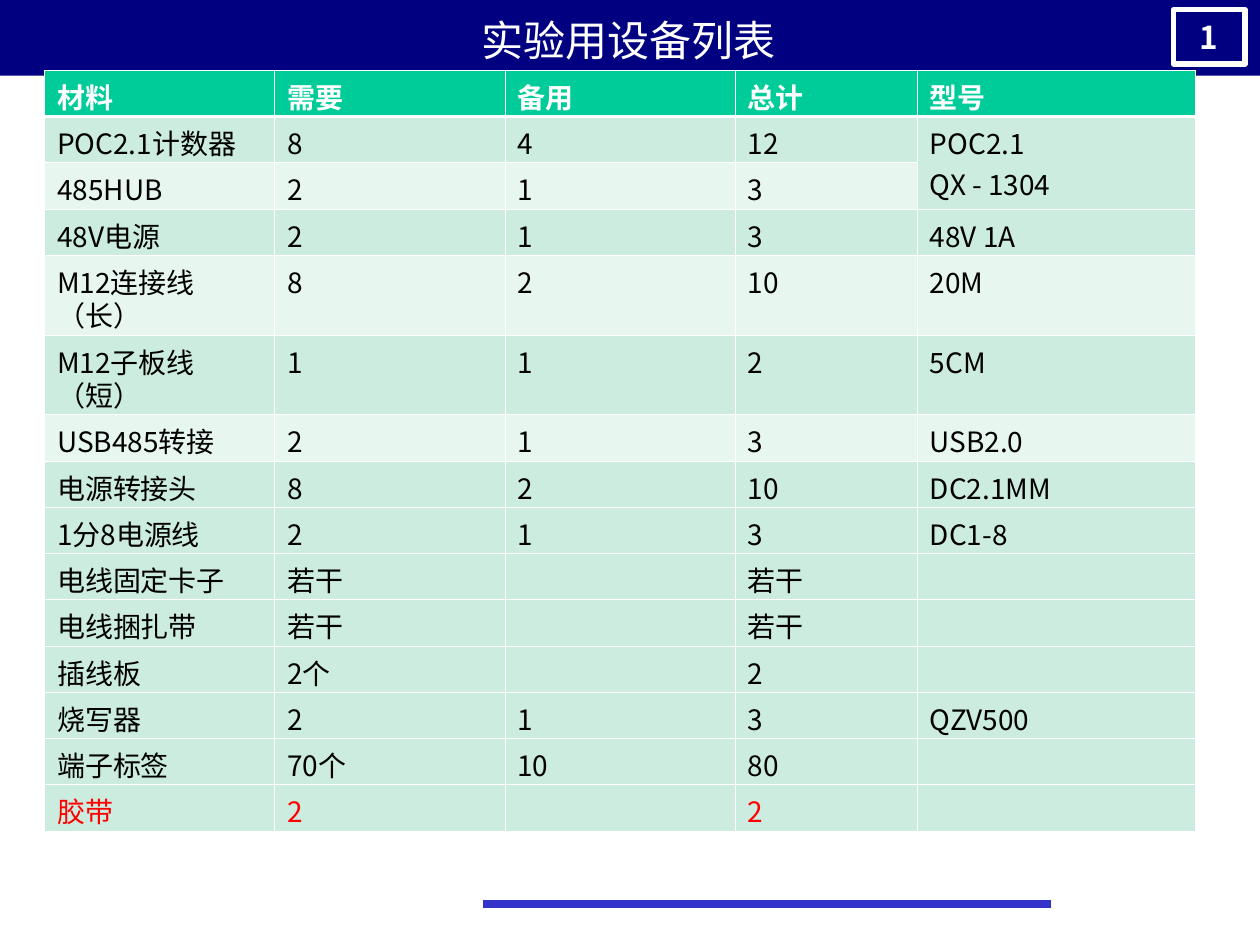
from pptx import Presentation
from pptx.dml.color import RGBColor
from pptx.enum import shapes, text
from pptx.oxml import ns, xmlchemy
from pptx.util import Pt

FONT = "Noto Sans CJK JP"
NAVY = RGBColor(0x00, 0x00, 0x80)
WHITE = RGBColor(0xFF, 0xFF, 0xFF)
BLACK = RGBColor(0x00, 0x00, 0x00)
RED = RGBColor(0xFF, 0x00, 0x00)
BLUE = RGBColor(0x33, 0x33, 0xCC)
HEADER_GREEN = RGBColor(0x00, 0xCC, 0x99)
GREEN = RGBColor(0xCB, 0xEC, 0xDE)
PALE_GREEN = RGBColor(0xE7, 0xF6, 0xEF)


def add_run(paragraph, words, size, color, bold=False):
    run = paragraph.add_run()
    run.text = words
    run.font.size, run.font.bold, run.font.name = Pt(size), bold, FONT
    run.font.color.rgb = color
    east_asian = xmlchemy.OxmlElement("a:ea")
    east_asian.set("typeface", FONT)
    run.font._element.find(ns.qn("a:latin")).addnext(east_asian)


def set_borders(cell, widths):
    properties = cell._tc.get_or_add_tcPr()
    for place, (side, width) in enumerate(zip("LRTB", widths)):
        border = xmlchemy.OxmlElement(f"a:ln{side}")
        border.set("w", str(Pt(width)))
        fill = xmlchemy.OxmlElement("a:solidFill")
        color = xmlchemy.OxmlElement("a:srgbClr")
        color.set("val", str(WHITE))
        fill.append(color)
        border.append(fill)
        properties.insert(place, border)


prs = Presentation()
prs.slide_width, prs.slide_height = Pt(720), Pt(540)
slide = prs.slides.add_slide(prs.slide_layouts[5])

# Navy band across the top
band = slide.shapes.add_shape(shapes.MSO_SHAPE.RECTANGLE, 0, 0, Pt(720), Pt(43.2))
band.shadow.inherit = False
band.fill.solid()
band.fill.fore_color.rgb = NAVY
band.line.fill.background()

# Page number in its frame
page = slide.shapes.add_shape(
    shapes.MSO_SHAPE.RECTANGLE, Pt(670.5), Pt(5.6), Pt(41), Pt(31))
page.shadow.inherit = False
page.fill.background()
page.line.color.rgb = WHITE
page.line.width = Pt(3)
page.text_frame.word_wrap = False
page.text_frame.vertical_anchor = text.MSO_ANCHOR.MIDDLE
page.text_frame.paragraphs[0].alignment = text.PP_ALIGN.CENTER
add_run(page.text_frame.paragraphs[0], "1", 18, WHITE, bold=True)

# Title, brought in front of the band
title = slide.shapes.title
slide.shapes._spTree.append(title._element)
title.left, title.top, title.width, title.height = 0, Pt(8), Pt(718.5), Pt(29)
heading = title.text_frame
heading.margin_left = heading.margin_right = 0
heading.margin_top = heading.margin_bottom = 0
heading.vertical_anchor = text.MSO_ANCHOR.MIDDLE
heading.paragraphs[0].alignment = text.PP_ALIGN.CENTER
add_run(heading.paragraphs[0], "实验用设备列表", 24, WHITE)

# Blue rule at the foot
rule = slide.shapes.add_connector(
    shapes.MSO_CONNECTOR.STRAIGHT, Pt(600.3), Pt(516.5), Pt(275.8), Pt(516.5))
rule.line.color.rgb = BLUE
rule.line.width = Pt(4.5)
rule._element.spPr.append(xmlchemy.OxmlElement("a:effectLst"))

# Equipment table
equipment = [
    ("材料", "需要", "备用", "总计", "型号"),
    ("POC2.1计数器", "8", "4", "12", "POC2.1\nQX - 1304"),
    ("485HUB", "2", "1", "3", ""),
    ("48V电源", "2", "1", "3", "48V 1A"),
    ("M12连接线（长）", "8", "2", "10", "20M"),
    ("M12子板线（短）", "1", "1", "2", "5CM"),
    ("USB485转接", "2", "1", "3", "USB2.0"),
    ("电源转接头", "8", "2", "10", "DC2.1MM"),
    ("1分8电源线", "2", "1", "3", "DC1-8"),
    ("电线固定卡子", "若干", "", "若干", ""),
    ("电线捆扎带", "若干", "", "若干", ""),
    ("插线板", "2个", "", "2", ""),
    ("烧写器", "2", "1", "3", "QZV500"),
    ("端子标签", "70个", "10", "80", ""),
    ("胶带", "2", "", "2", ""),
]
column_widths = [131.5, 131.5, 131.5, 104.2, 158.6]
two_line_rows = (4, 5)
pale_rows = (2, 4, 6)
last_row = len(equipment) - 1

table = slide.shapes.add_table(
    len(equipment), len(column_widths), Pt(25.5), Pt(40.1), Pt(657.3), Pt(434.4)).table
for column, width in zip(table.columns, column_widths):
    column.width = Pt(width)

for r, items in enumerate(equipment):
    table.rows[r].height = Pt(45.6 if r in two_line_rows else 26.4)
    background = HEADER_GREEN if r == 0 else PALE_GREEN if r in pale_rows else GREEN
    ink = WHITE if r == 0 else RED if r == last_row else BLACK
    top, bottom = (1.47 if r == 1 else 0.45), (1.47 if r == 0 else 0.45)
    for c, item in enumerate(items):
        cell = table.cell(r, c)
        cell.fill.solid()
        cell.fill.fore_color.rgb = background
        set_borders(cell, (0.45, 0.45, top, bottom))
        cell.margin_top = cell.margin_bottom = 0
        if not item:
            continue
        lines = item.split("\n")
        cell.margin_top = Pt(7.2 if len(lines) == 1 else 3.4)
        for i, line in enumerate(lines):
            paragraph = cell.text_frame.paragraphs[0] if i == 0 else cell.text_frame.add_paragraph()
            if len(lines) == 1:
                paragraph.line_spacing = Pt(19.2)
            add_run(paragraph, line, 16, ink, bold=r == 0)

# The first two items share one model cell
table.cell(1, 4).merge(table.cell(2, 4))

prs.save("out.pptx")
